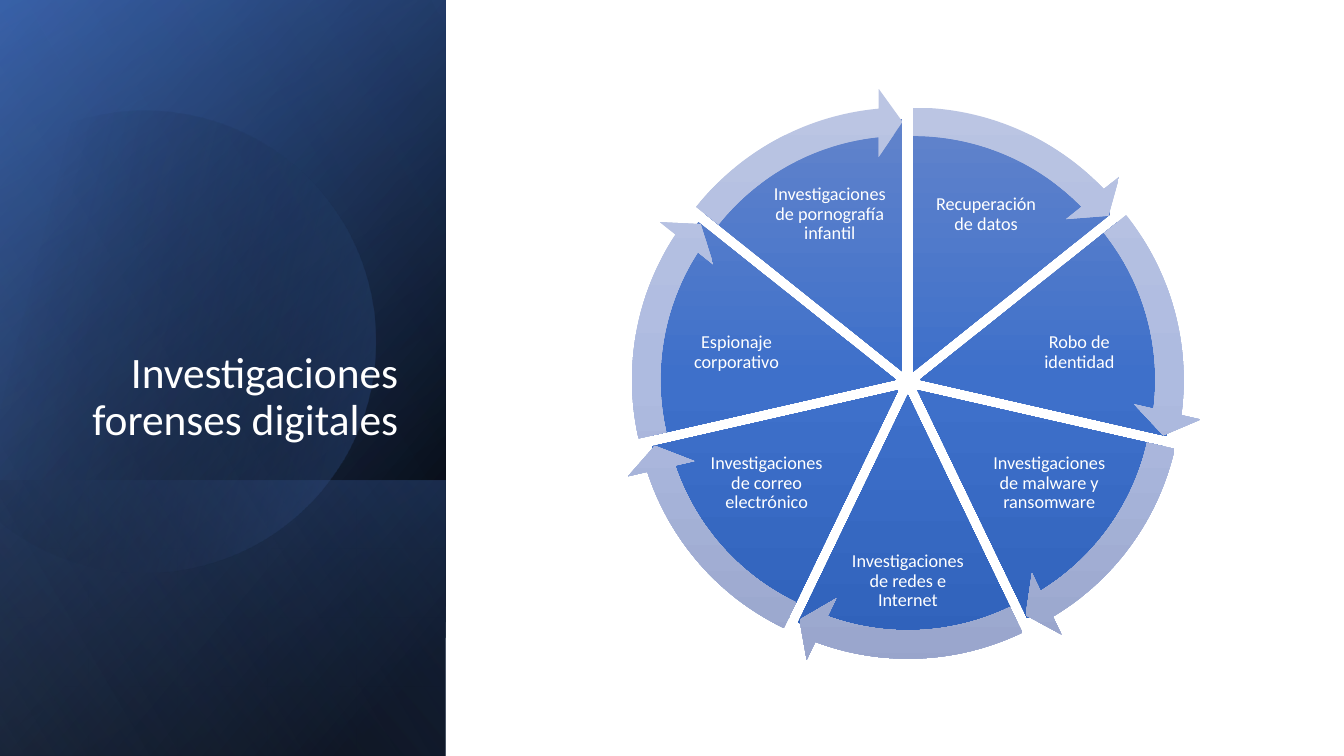
from math import cos, radians, sin, tan

from lxml.etree import SubElement
from pptx import Presentation
from pptx.dml.color import RGBColor
from pptx.enum.shapes import MSO_SHAPE as Preset
from pptx.enum.text import MSO_ANCHOR as Anchor, PP_ALIGN as Align
from pptx.oxml.ns import qn
from pptx.util import Cm, Pt

SLIDE_W, SLIDE_H = 33.87, 19.05
PANEL_W = 11.23
HUB_X, HUB_Y = 22.88, 9.64
PIE_SIZE, ARROW_SIZE, SPREAD = 12.73, 14.3, 0.31
DEGREE = 0.6
TURN = 360 * DEGREE
TOP = 270 * DEGREE
ARROWHEAD = 3.28

SLICE_STOPS = [(0, "6183CB"), (50, "3E70CA"), (100, "3062BB")]
ARROW_STOPS = [(0, "BBC5E3"), (50, "AEBBE0"), (100, "98A4CB")]
TOPICS = [
    "Recuperación de datos",
    "Robo de identidad",
    "Investigaciones de malware y ransomware",
    "Investigaciones de redes e Internet",
    "Investigaciones de correo electrónico",
    "Espionaje corporativo",
    "Investigaciones de pornografía infantil",
]
LABEL_SPOTS = [
    (1.97, 5.4, 3.02, 2.41),
    (4.32, 8.89, 3.48, 2.13),
    (3.56, 12.18, 3.02, 2.34),
    (0, 14.65, 2.95, 2.13),
]
DISC_ANGLES = [-118, -90, 0, 90, 150]


def rgb(code):
    return RGBColor.from_string(code)


def paint(shape, stops, angle):
    shape.shadow.inherit = False
    shape.line.fill.background()
    shape.fill.gradient()
    gradient = shape._element.spPr.find(qn("a:gradFill"))
    for child in list(gradient):
        gradient.remove(child)
    stop_list = SubElement(gradient, qn("a:gsLst"))
    for position, code, *alpha in stops:
        stop = SubElement(stop_list, qn("a:gs"), pos=str(position * 1000))
        color = SubElement(stop, qn("a:srgbClr"), val=str(rgb(code)))
        for percent in alpha:
            SubElement(color, qn("a:alpha"), val=str(percent * 1000))
    SubElement(gradient, qn("a:lin"), ang=str(angle * 60000), scaled="0")


def add_panel(slide, top, height, stops, angle):
    left = (PANEL_W - height) / 2
    panel = slide.shapes.add_shape(
        Preset.RECTANGLE, Cm(left), Cm(top - left), Cm(height), Cm(PANEL_W))
    panel.rotation = 90
    panel._element.spPr.find(qn("a:xfrm")).set("flipH", "1")
    paint(panel, stops, angle)


def rim_point(x, y, radius, angle, lean=0):
    turn = radians(angle)
    return (Cm(x + radius * (cos(turn) - lean * sin(turn))),
            Cm(y + radius * (sin(turn) + lean * cos(turn))))


def round_sides(disc, x, y, radius):
    sides = disc._element.spPr.findall(".//" + qn("a:lnTo"))
    for side, start, end in zip(sides, DISC_ANGLES, DISC_ANGLES[1:]):
        lean = 4 / 3 * tan(radians(end - start) / 4)
        side.tag = qn("a:cubicBezTo")
        for point in list(side):
            side.remove(point)
        for angle, pull in ((start, lean), (end, -lean), (end, 0)):
            px, py = rim_point(x, y, radius, angle, pull)
            SubElement(side, qn("a:pt"), x=str(px - disc.left), y=str(py - disc.top))


def add_disc(slide, x, y, radius, stops, angle):
    rim = [rim_point(x, y, radius, a) for a in DISC_ANGLES]
    outline = slide.shapes.build_freeform(*rim[0])
    outline.add_line_segments(rim[1:], close=True)
    disc = outline.convert_to_shape()
    round_sides(disc, x, y, radius)
    disc.rotation = -16.1
    paint(disc, stops, angle)


def add_text(slide, text, box, size, align, anchor, inset=None):
    frame = slide.shapes.add_textbox(*map(Cm, box)).text_frame
    frame.word_wrap = True
    frame.vertical_anchor = anchor
    if inset is not None:
        frame.margin_left = frame.margin_right = Cm(inset)
        frame.margin_top = frame.margin_bottom = Cm(inset)
    paragraph = frame.paragraphs[0]
    paragraph.alignment = align
    paragraph.line_spacing = 0.9
    run = paragraph.add_run()
    run.text = text
    run.font.name = "Calibri"
    run.font.size = Pt(size)
    run.font.color.rgb = rgb("FFFFFF")


def add_sector(slide, preset, index, size, adjustments, stops):
    middle = radians((index + 0.5) * 360 / len(TOPICS) - 90)
    left = HUB_X + SPREAD * cos(middle) - size / 2
    top = HUB_Y + SPREAD * sin(middle) - size / 2
    sector = slide.shapes.add_shape(preset, Cm(left), Cm(top), Cm(size), Cm(size))
    for position, value in enumerate(adjustments):
        sector.adjustments[position] = value
    paint(sector, stops, 90)


def add_label(slide, index, topic):
    mirror = len(TOPICS) - 1 - index
    dx, y, width, height = LABEL_SPOTS[min(index, mirror)]
    x = HUB_X + (dx if index <= mirror else -dx)
    box = (x - width / 2, y - height / 2, width, height)
    add_text(slide, topic, box, 13, Align.CENTER, Anchor.MIDDLE, 0.05)


def add_wheel(slide):
    step = TURN / len(TOPICS)
    bounds = [(TOP + i * step) % TURN for i in range(len(TOPICS) + 1)]
    arcs = list(zip(bounds, bounds[1:]))
    for index, (arc, topic) in enumerate(zip(arcs, TOPICS)):
        add_sector(slide, Preset.PIE, index, PIE_SIZE, arc, SLICE_STOPS)
        add_label(slide, index, topic)
    for index, (start, end) in enumerate(arcs):
        bend = (0.05, ARROWHEAD, end - ARROWHEAD, start, 0.06)
        add_sector(slide, Preset.CIRCULAR_ARROW, index, ARROW_SIZE, bend, ARROW_STOPS)


def main():
    deck = Presentation()
    deck.slide_width, deck.slide_height = Cm(SLIDE_W), Cm(SLIDE_H)
    slide = deck.slides.add_slide(deck.slide_layouts[6])

    add_panel(slide, 0, SLIDE_H, [(8, "000000"), (100, "2F5597")], 50)
    add_panel(slide, 0, SLIDE_H, [(0, "000000", 0), (99, "4472C4", 46)], 30)
    add_panel(slide, 12.1, 6.95, [(2, "4472C4", 29), (100, "000000", 30)], 130)
    add_disc(slide, 3.63, 8.51, 5.82, [(29, "000000", 0), (100, "4472C4", 43)], 30)
    add_panel(slide, 0, SLIDE_H, [(0, "000000", 0), (99, "8FAADC", 11)], 120)
    add_text(slide, "Investigaciones forenses digitales",
             (1.62, 4.69, 8.66, 6.65), 31, Align.RIGHT, Anchor.BOTTOM)
    add_wheel(slide)

    deck.save("out.pptx")


main()
